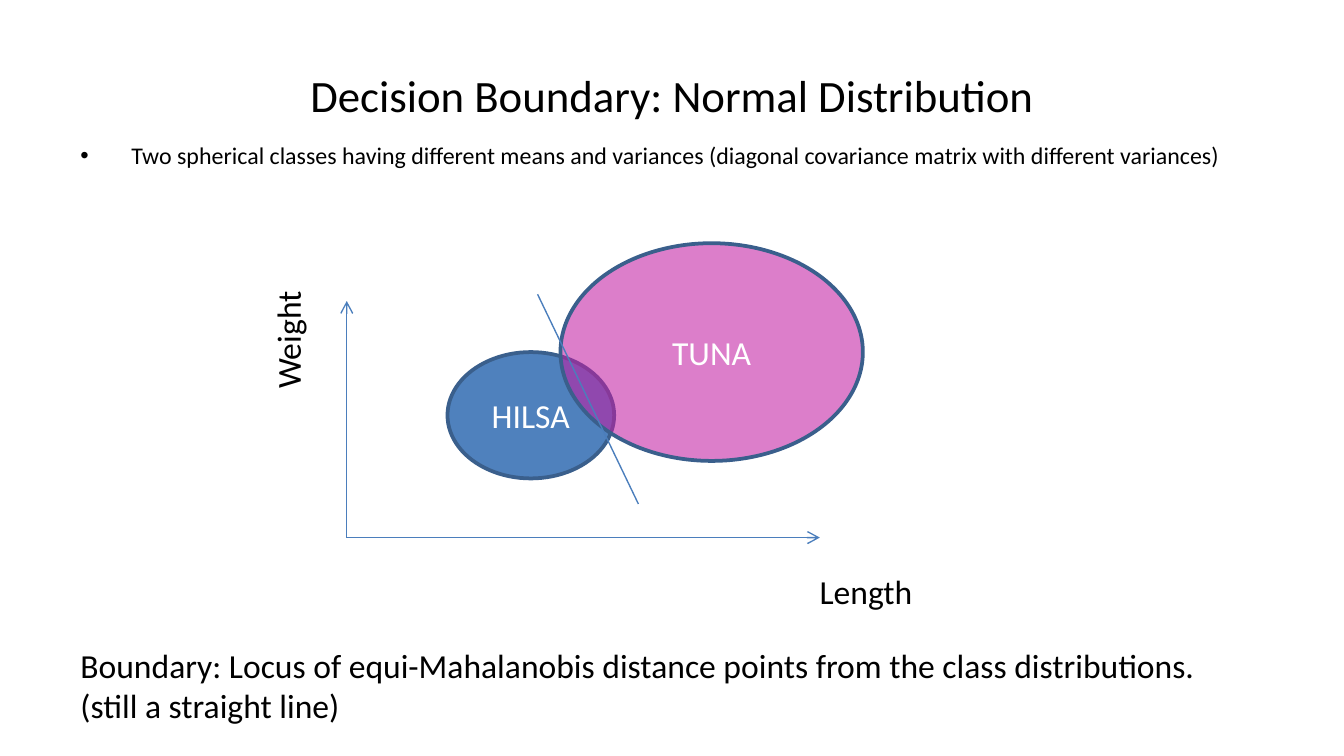
from lxml import etree
from pptx import Presentation
from pptx.dml.color import RGBColor
from pptx.enum.shapes import MSO_CONNECTOR, MSO_SHAPE
from pptx.enum.text import MSO_ANCHOR, PP_ALIGN
from pptx.oxml.ns import qn
from pptx.util import Inches, Pt

STRAIGHT = MSO_CONNECTOR.STRAIGHT
OVAL = MSO_SHAPE.OVAL
MIDDLE, TOP = MSO_ANCHOR.MIDDLE, MSO_ANCHOR.TOP
LEFT, CENTER = PP_ALIGN.LEFT, PP_ALIGN.CENTER


def color(hex_value):
    return RGBColor.from_string(hex_value)


def write(shape, text, size=18, ink="000000", align=LEFT, anchor=TOP, wrap=True, bullet=False):
    frame = shape.text_frame
    frame.text = text
    frame.word_wrap = wrap
    frame.vertical_anchor = anchor
    for paragraph in frame.paragraphs:
        paragraph.alignment = align
        if bullet:
            properties = paragraph._p.get_or_add_pPr()
            properties.set("marL", str(Inches(0.38)))
            properties.set("indent", str(Inches(-0.38)))
            etree.SubElement(properties, qn("a:buFont")).set("typeface", "Arial")
            etree.SubElement(properties, qn("a:buChar")).set("char", "•")
        paragraph.font.name = "Calibri"
        paragraph.font.size = Pt(size)
        paragraph.font.color.rgb = color(ink)


prs = Presentation()
prs.slide_width = Inches(10)
prs.slide_height = prs.slide_width * 9 // 16
slide = prs.slides.add_slide(prs.slide_layouts[5])
shapes = slide.shapes

title = shapes.title
title.left, title.top, title.width, title.height = map(Inches, (0.5, 0.23, 9, 0.94))
write(title, "Decision Boundary: Normal Distribution", size=24, align=CENTER, anchor=MIDDLE)

assumption = shapes.add_textbox(*map(Inches, (0.5, 1, 9, 0.44)))
write(
    assumption,
    "Two spherical classes having different means and variances "
    "(diagonal covariance matrix with different variances)",
    size=12.8,
    bullet=True,
)

classes = [
    ("HILSA", (3.33, 2.62, 1.24, 0.94), "4F81BD", 100),
    ("TUNA", (4.17, 1.81, 2.25, 1.62), "C31DA3", 57),
]
for fish, bounds, fill, opacity in classes:
    cluster = shapes.add_shape(OVAL, *map(Inches, bounds))
    cluster.shadow.inherit = False
    cluster.fill.solid()
    cluster.fill.fore_color.rgb = color(fill)
    if opacity < 100:
        tint = cluster._element.spPr.find(qn("a:solidFill"))[0]
        etree.SubElement(tint, qn("a:alpha")).set("val", str(opacity * 1000))
    cluster.line.color.rgb = color("3A5F8C")
    cluster.line.width = Pt(2)
    write(cluster, fish, ink="FFFFFF", align=CENTER, anchor=MIDDLE)

lines = [
    ((2.58, 4, 6.1, 4), True),
    ((2.58, 4, 2.58, 2.24), True),
    ((4, 2.19, 4.75, 3.75), False),
]
for ends, is_axis in lines:
    stroke = shapes.add_connector(STRAIGHT, *map(Inches, ends))
    stroke.line.color.rgb = color("4B7EBC")
    stroke.line.width = Pt(0.75)
    if is_axis:
        etree.SubElement(stroke.line._get_or_add_ln(), qn("a:tailEnd")).set("type", "arrow")
    etree.SubElement(stroke._element.spPr, qn("a:effectLst"))

axis_labels = [
    ("Length", (6, 4.2, 1.58, 0.4), 0),
    ("Weight", (1.43, 2.08, 1.42, 0.4), 270),
]
for feature, bounds, angle in axis_labels:
    axis_label = shapes.add_textbox(*map(Inches, bounds))
    axis_label.rotation = angle
    write(axis_label, feature)

conclusion = shapes.add_textbox(*map(Inches, (0.5, 4.75, 8.59, 0.71)))
write(
    conclusion,
    "Boundary: Locus of equi-Mahalanobis distance points from the class distributions.\n"
    "(still a straight line)",
    wrap=False,
)

prs.save("out.pptx")
